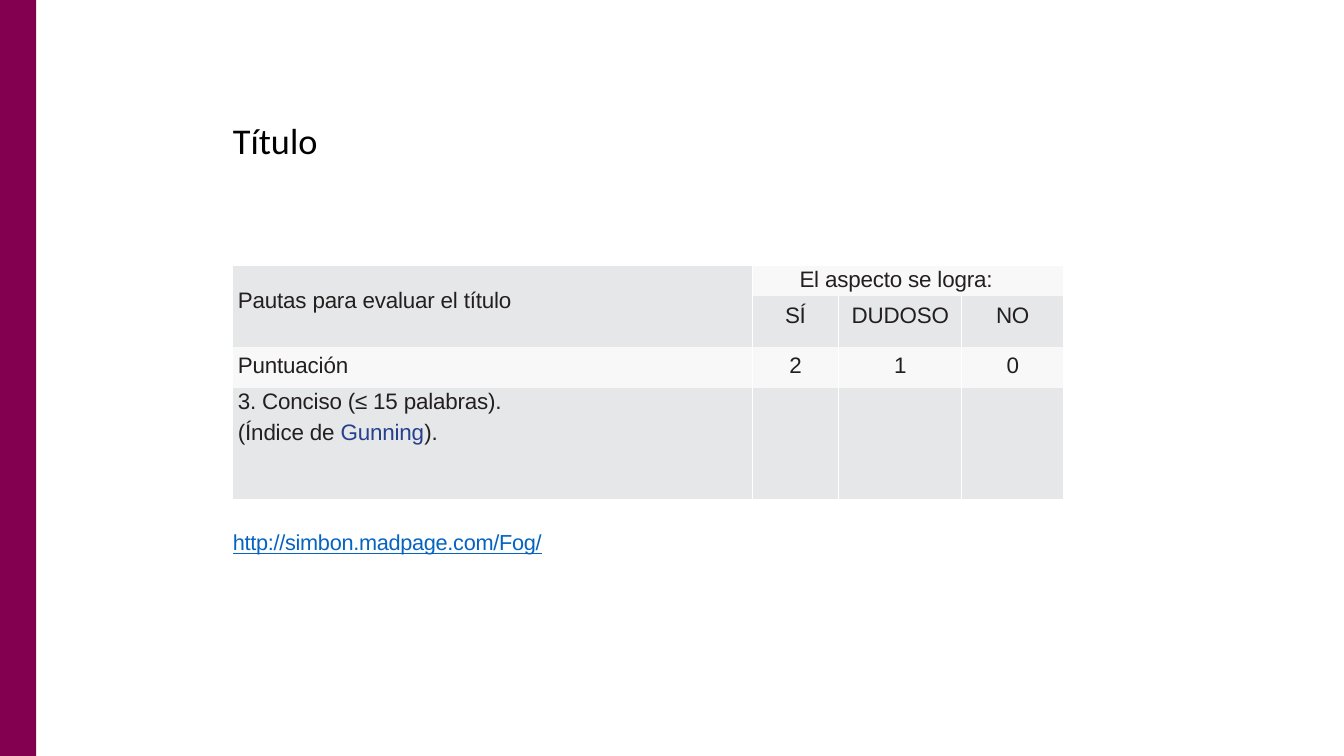
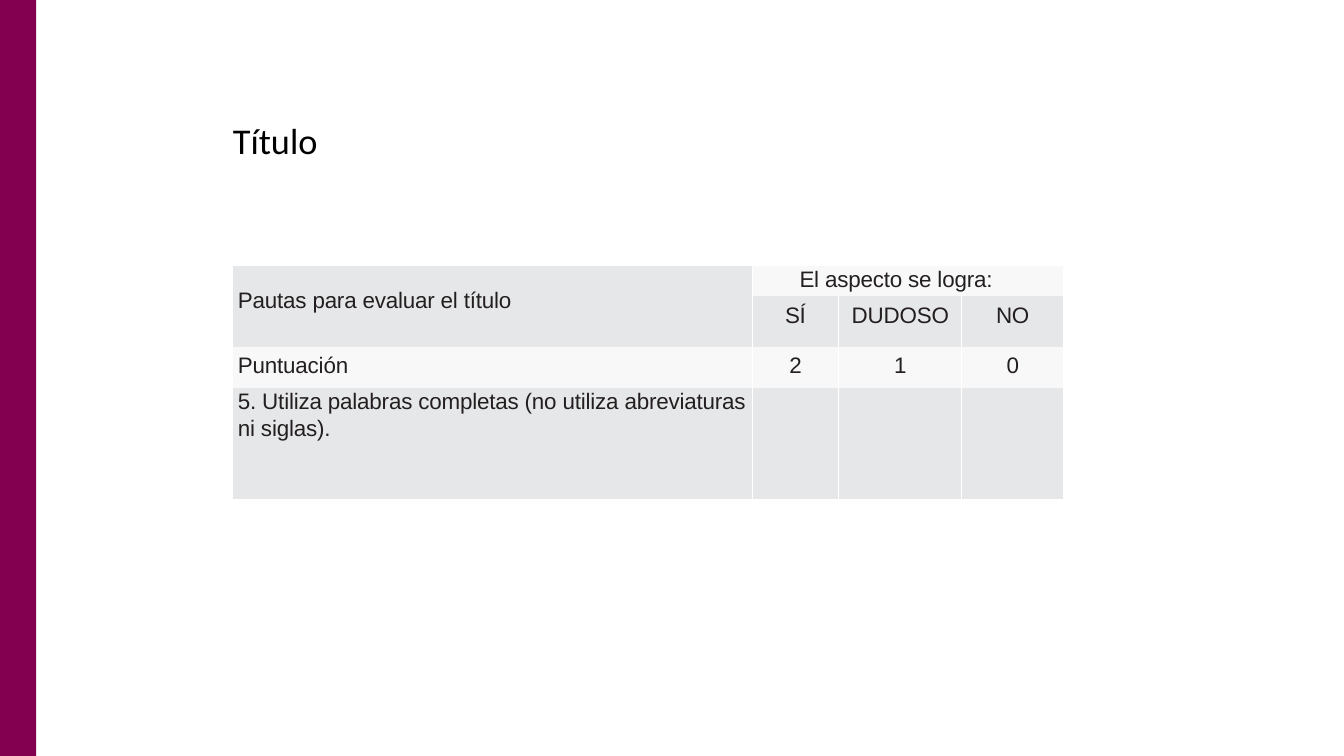
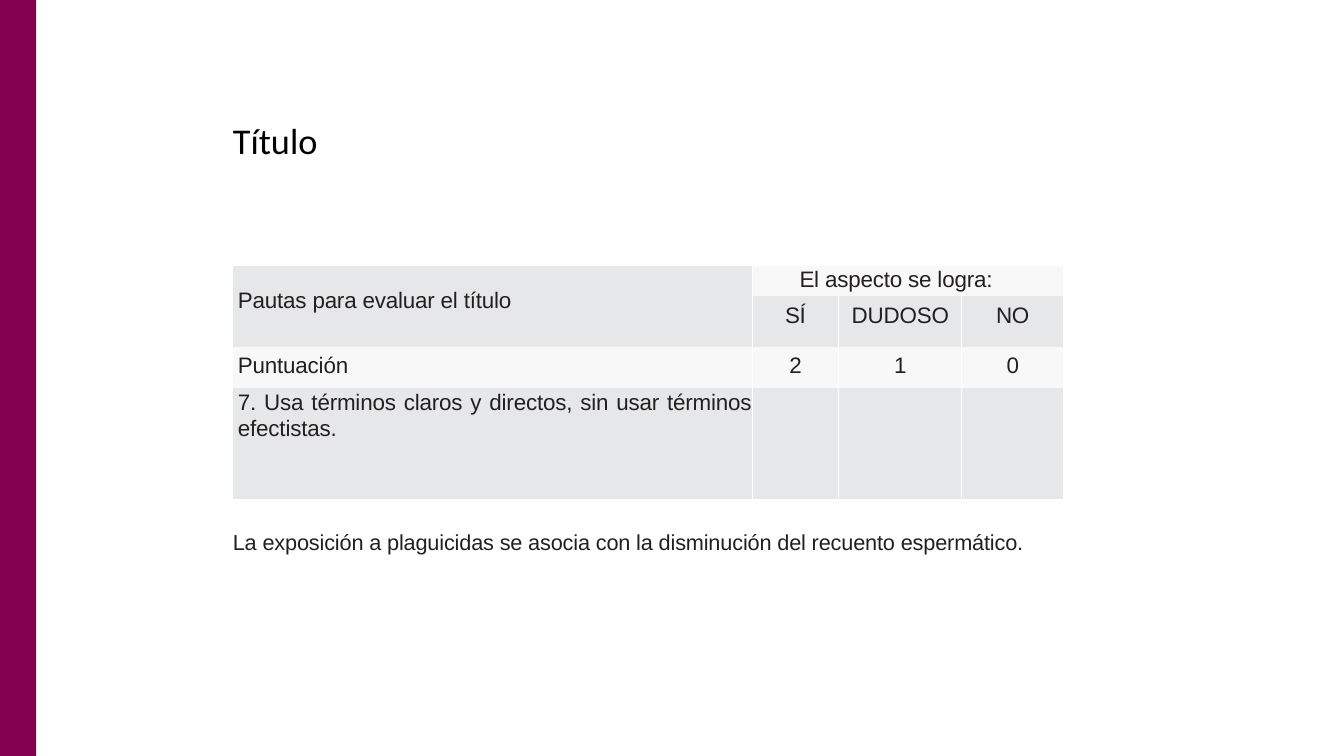
from dataclasses import dataclass

from pptx import Presentation
from pptx.dml.color import RGBColor as Rgb
from pptx.enum.shapes import MSO_SHAPE as Shape
from pptx.enum.text import MSO_ANCHOR as Anchor, PP_ALIGN as Align
from pptx.oxml import parse_xml
from pptx.oxml.ns import nsdecls, qn
from pptx.util import Inches, Pt


@dataclass(frozen=True)
class Theme:
    band: str = "830051"
    title: str = "000000"
    ink: str = "231F20"
    term: str = "25408F"
    link: str = "0563C1"
    dark_row: str = "E6E7E8"
    light_row: str = "F8F8F8"
    rule: str = "FFFFFF"
    title_font: str = "Calibri"
    body_font: str = "Arial"
    title_size: float = 25.9
    body_size: float = 16
    caption_size: float = 15.5


THEME = Theme()
NO_STYLE = "{2D5ABB26-0587-4C30-8999-92F81FD0307C}"
LEFT = 2.31
COLUMNS = (5.15, 0.86, 1.22, 1.01)
ROWS = (0.3, 0.5, 0.41, 1.1)
CELL_INDENT = 0.05


class Deck:
    """Builds the evaluation slides in one shared style."""

    def __init__(self, theme):
        self.theme = theme
        self.prs = Presentation()
        self.prs.slide_width, self.prs.slide_height = Inches(13.33), Inches(7.5)
        self.slide = None

    def new_slide(self, title):
        self.slide = self.prs.slides.add_slide(self.prs.slide_layouts[5])
        self.band()
        self.title(title)

    def band(self):
        band = self.slide.shapes.add_shape(
            Shape.RECTANGLE, 0, 0, Inches(0.36), self.prs.slide_height)
        band.shadow.inherit = False
        band.fill.solid()
        band.fill.fore_color.rgb = Rgb.from_string(self.theme.band)
        band.line.fill.background()

    def run(self, paragraph, text, size, color=None, font=None, tracking=-0.1):
        run = paragraph.add_run()
        run.text = text
        run.font.size = Pt(size)
        run.font.name = font or self.theme.body_font
        run.font.color.rgb = Rgb.from_string(color or self.theme.ink)
        run.font._element.set("spc", str(round(tracking * 100)))
        return run

    def frame(self, shape, anchor):
        frame = shape.text_frame
        frame.margin_left = frame.margin_right = frame.margin_bottom = 0
        frame.margin_top = Inches(0.02)
        frame.vertical_anchor = anchor
        frame.word_wrap = False
        return frame.paragraphs[0]

    def title(self, text):
        heading = self.slide.shapes.title
        heading.left, heading.top = Inches(LEFT), Inches(1.15)
        heading.width, heading.height = Inches(0.9), Inches(0.45)
        line = self.frame(heading, Anchor.MIDDLE)
        line.alignment = Align.LEFT
        self.run(line, text, self.theme.title_size, self.theme.title,
                 self.theme.title_font, 0)

    def caption(self, text, width, color=None, underline=False, tracking=-0.1):
        caption = self.slide.shapes.add_textbox(
            Inches(LEFT), Inches(5.23), Inches(width), Inches(0.28))
        line = self.frame(caption, Anchor.TOP)
        run = self.run(line, text, self.theme.caption_size, color,
                       tracking=tracking)
        run.font.underline = underline

    def style_cell(self, cell, fill):
        cell.margin_left = cell.margin_right = 0
        cell.margin_top = cell.margin_bottom = 0
        cell.vertical_anchor = Anchor.TOP
        cell.fill.solid()
        cell.fill.fore_color.rgb = Rgb.from_string(fill)
        properties = cell._tc.get_or_add_tcPr()
        for position, side in enumerate(("lnL", "lnR")):
            properties.insert(position, parse_xml(
                f'<a:{side} {nsdecls("a")} w="{Pt(0.75)}"><a:solidFill>'
                f'<a:srgbClr val="{self.theme.rule}"/></a:solidFill></a:{side}>'))

    def write_cell(self, cell, text, top, indent=None):
        cell.margin_top = Inches(top)
        line = cell.text_frame.paragraphs[0]
        if indent is None:
            line.alignment = Align.CENTER
        else:
            cell.margin_left = Inches(indent)
        self.run(line, text, self.theme.body_size)

    def rubric(self, criterion, gap=0, justified=False):
        table = self.slide.shapes.add_table(
            len(ROWS), len(COLUMNS), Inches(LEFT), Inches(2.64),
            Inches(sum(COLUMNS)), Inches(sum(ROWS))).table
        table._tbl.tblPr.find(qn("a:tableStyleId")).text = NO_STYLE
        table.first_row = table.horz_banding = False
        for column, width in zip(table.columns, COLUMNS):
            column.width = Inches(width)
        for number, (row, height) in enumerate(zip(table.rows, ROWS)):
            row.height = Inches(height)
            for place, cell in enumerate(row.cells):
                light = number == 2 or (number == 0 and place > 0)
                self.style_cell(cell, self.theme.light_row if light
                                else self.theme.dark_row)
        table.cell(0, 0).merge(table.cell(1, 0))
        table.cell(0, 1).merge(table.cell(0, 3))
        self.write_cell(table.cell(0, 0), "Pautas para evaluar el título",
                        0.22, CELL_INDENT)
        self.write_cell(table.cell(0, 1), "El aspecto se logra:", 0.01, 0.47)
        self.write_cell(table.cell(2, 0), "Puntuación", 0.07, CELL_INDENT)
        scores = (("SÍ", "2"), ("DUDOSO", "1"), ("NO", "0"))
        for place, (answer, score) in enumerate(scores, 1):
            self.write_cell(table.cell(1, place), answer, 0.07)
            self.write_cell(table.cell(2, place), score, 0.07)
        self.criterion(table.cell(3, 0), criterion, gap, justified)

    def criterion(self, cell, lines, gap, justified):
        cell.margin_top, cell.margin_left = Inches(0.01), Inches(CELL_INDENT)
        frame = cell.text_frame
        for number, pieces in enumerate(lines):
            line = frame.add_paragraph() if number else frame.paragraphs[0]
            if number:
                line.space_before = Pt(gap)
            if justified:
                line.alignment = Align.JUSTIFY
                line.line_spacing = 1.05
            for text, color in pieces:
                self.run(line, text, self.theme.body_size, color)


def main():
    deck = Deck(THEME)
    ink = THEME.ink

    deck.new_slide("Título")
    deck.rubric([[("3. Conciso (≤ 15 palabras).", ink)],
                 [("(Índice de ", ink), ("Gunning", THEME.term), (").", ink)]],
                gap=4.5)
    deck.caption("http://simbon.madpage.com/Fog/", 3.14, THEME.link,
                 underline=True, tracking=-0.2)

    deck.new_slide("Título")
    deck.rubric([[("5. Utiliza palabras completas (no utiliza abreviaturas", ink)],
                 [("ni siglas).", ink)]], gap=1.6)

    deck.new_slide("Título")
    deck.rubric([[("7. Usa términos claros y directos, sin usar términos "
                   "efectistas.", ink)]], justified=True)
    deck.caption("La exposición a plaguicidas se asocia con la disminución "
                 "del recuento espermático.", 7.96)

    deck.prs.save("out.pptx")


if __name__ == "__main__":
    main()
